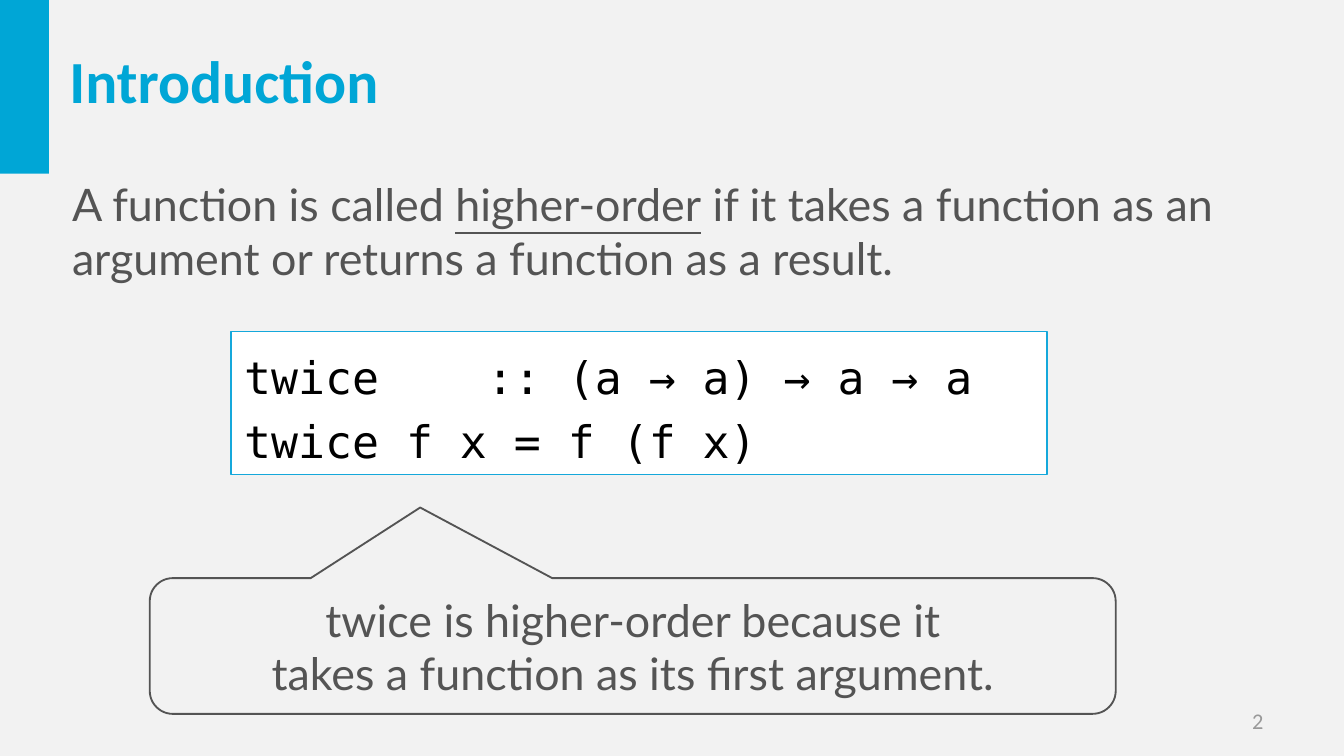
"""Build the introduction slide on higher-order functions."""
from pptx import Presentation
from pptx.dml.color import RGBColor
from pptx.enum import shapes, text

PX = 9525
CYAN = RGBColor(0x00, 0xA6, 0xD6)
BORDER = RGBColor(0x15, 0xA8, 0xDB)
BACKGROUND = RGBColor(0xF2, 0xF2, 0xF2)
WHITE = RGBColor(0xFF, 0xFF, 0xFF)
BLACK = RGBColor(0x00, 0x00, 0x00)
GRAY = RGBColor(0x54, 0x54, 0x54)
LIGHT_GRAY = RGBColor(0x99, 0x99, 0x99)


def box(left, top, width, height):
    return [value * PX for value in (left, top, width, height)]


def write(shape, lines, font="Lato", size=24, color=GRAY, bold=False,
          align=text.PP_ALIGN.LEFT, spacing=1.0, underlined=None):
    frame = shape.text_frame
    frame.word_wrap = True
    frame.auto_size = text.MSO_AUTO_SIZE.NONE
    frame.vertical_anchor = text.MSO_ANCHOR.MIDDLE
    for index, line in enumerate(lines):
        paragraph = frame.add_paragraph() if index else frame.paragraphs[0]
        paragraph.alignment = align
        paragraph.line_spacing = spacing
        for part in [line] if isinstance(line, str) else line:
            run = paragraph.add_run()
            run.text = part
            run.font.name = font
            run.font.size = size * 12700
            run.font.bold = bold
            run.font.color.rgb = color
            if part == underlined:
                run.font.underline = True


presentation = Presentation()
presentation.slide_width = 960 * PX
presentation.slide_height = 540 * PX
slide = presentation.slides.add_slide(presentation.slide_layouts[5])
slide.background.fill.solid()
slide.background.fill.fore_color.rgb = BACKGROUND

accent = slide.shapes.add_shape(shapes.MSO_SHAPE.RECTANGLE, *box(0, 0, 35, 124))
accent.shadow.inherit = False
accent.fill.solid()
accent.fill.fore_color.rgb = CYAN
accent.line.fill.background()

page_number = slide.shapes.add_textbox(*box(688, 500, 224, 29))
write(page_number, ["2"], font="Calibri", size=12, color=LIGHT_GRAY,
      align=text.PP_ALIGN.RIGHT)

title = slide.shapes.title
title.left, title.top, title.width, title.height = box(40, 30, 894, 54)
write(title, ["Introduction"], font="Calibri", size=32, color=CYAN, bold=True)

definition = slide.shapes.add_textbox(*box(42, 121, 887, 87))
write(definition, [("A function is called ", "higher-order",
                    " if it takes a function as an argument"
                    " or returns a function as a result.")],
      underlined="higher-order")

code = slide.shapes.add_shape(shapes.MSO_SHAPE.RECTANGLE, *box(165, 237, 583, 102))
code.shadow.inherit = False
code.fill.solid()
code.fill.fore_color.rgb = WHITE
code.line.color.rgb = BORDER
code.line.width = 1 * PX
write(code, ["twice    :: (a → a) → a → a", "twice f x = f (f x)"],
      font="DejaVu Sans Mono", color=BLACK, spacing=1.2)

callout = slide.shapes.add_shape(shapes.MSO_SHAPE.ROUNDED_RECTANGULAR_CALLOUT,
                                 *box(107, 413, 690, 97))
callout.shadow.inherit = False
callout.fill.background()
callout.line.color.rgb = GRAY
callout.line.width = 12700
for index, value in enumerate((-0.22, -1.02, 0.17)):
    callout.adjustments[index] = value
write(callout, ["twice is higher-order because it",
                "takes a function as its first argument."],
      align=text.PP_ALIGN.CENTER)

presentation.save("out.pptx")
